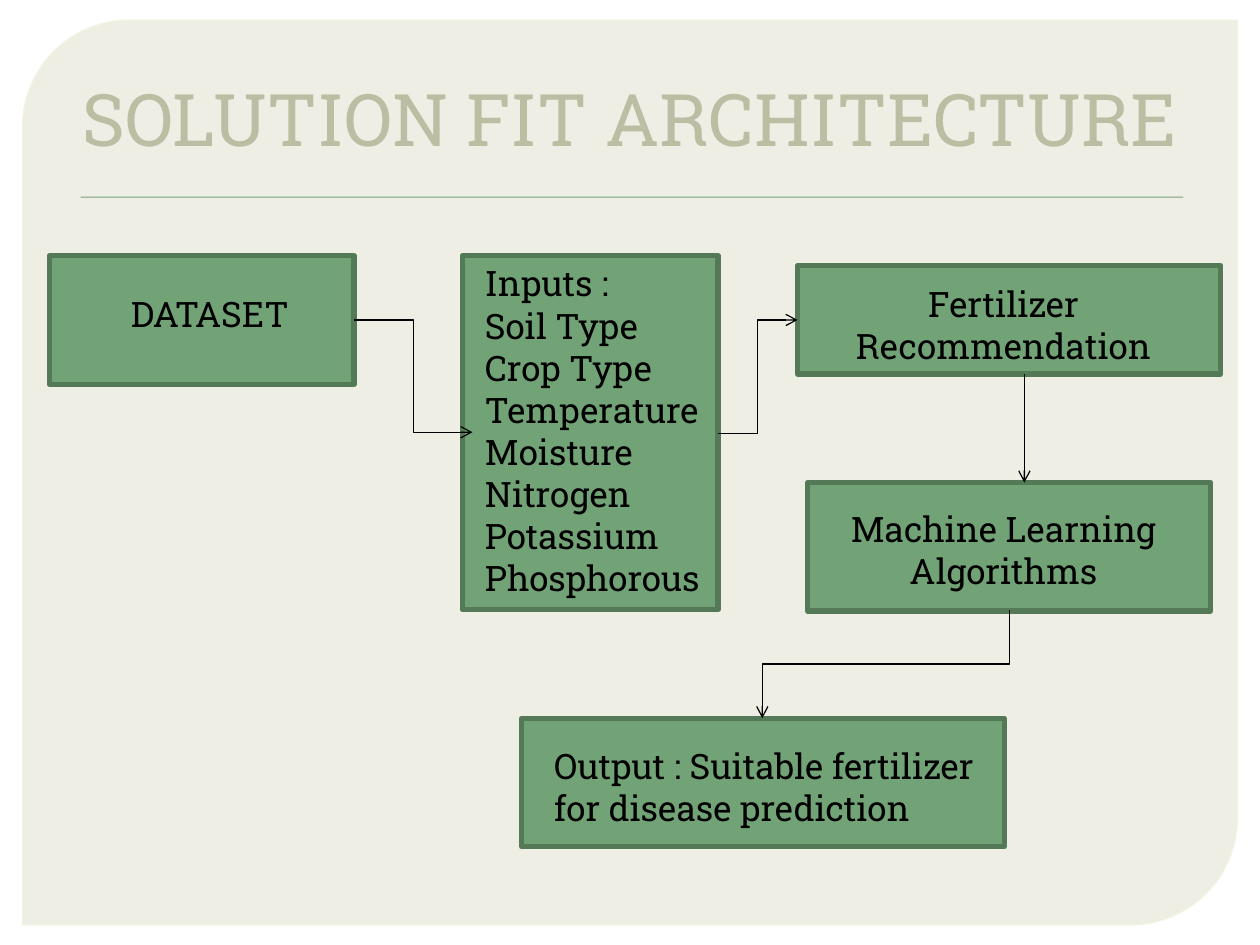
import pptx
import pptx.util
import pptx.dml.color
import pptx.enum.shapes
import pptx.enum.text
import pptx.oxml.ns
import lxml.etree

Inches = pptx.util.Inches
Pt = pptx.util.Pt
RGBColor = pptx.dml.color.RGBColor
SHAPE = pptx.enum.shapes.MSO_SHAPE
CONNECTOR = pptx.enum.shapes.MSO_CONNECTOR
ALIGN = pptx.enum.text.PP_ALIGN
ANCHOR = pptx.enum.text.MSO_ANCHOR
AUTO_SIZE = pptx.enum.text.MSO_AUTO_SIZE
qn = pptx.oxml.ns.qn

FONT = "Roboto Slab"
PANEL = RGBColor(0xE5, 0xE6, 0xD7)
PANEL_EDGE = RGBColor(0xF2, 0xF4, 0xE2)
GREEN = RGBColor(0x72, 0xA3, 0x76)
DARK_GREEN = RGBColor(0x54, 0x79, 0x57)
OLIVE = RGBColor(0x6D, 0x74, 0x42)
BLACK = RGBColor(0, 0, 0)


def set_alpha(fill_parent, percent):
    color = fill_parent.find(qn("a:solidFill"))[0]
    lxml.etree.SubElement(color, qn("a:alpha")).set("val", str(percent * 1000))


def format_text(paragraph, size, color, align):
    paragraph.alignment = align
    for name, value in {"name": FONT, "size": Pt(size)}.items():
        setattr(paragraph.font, name, value)
    paragraph.font.color.rgb = color


def add_box(slide, kind, box, fill, line=None, width=0):
    shape = slide.shapes.add_shape(kind, *map(Inches, box))
    shape.shadow.inherit = False
    shape.fill.solid()
    shape.fill.fore_color.rgb = fill
    if line is None:
        shape.line.fill.background()
    else:
        shape.line.color.rgb = line
        shape.line.width = Pt(width)
    return shape


def add_background(slide, box):
    """Rounded panel with the thin rule below the title."""
    left, top, width, height = box
    panel = add_box(slide, SHAPE.ROUND_2_DIAG_RECTANGLE, box, PANEL, PANEL_EDGE, 0.87)
    panel.adjustments[0] = 0.118
    panel.adjustments[1] = 0
    properties = panel.element.spPr
    set_alpha(properties, 65)
    set_alpha(properties.find(qn("a:ln")), 88)
    add_box(slide, SHAPE.RECTANGLE, (left + 0.46, top + 1.4, width - 0.89, 0.01), GREEN)


def add_title(slide, box, text):
    title = slide.shapes.title
    for name, value in zip(("left", "top", "width", "height"), box):
        setattr(title, name, Inches(value))
    frame = title.text_frame
    frame.text = text
    for name, value in {"auto_size": AUTO_SIZE.NONE, "word_wrap": True,
                        "vertical_anchor": ANCHOR.BOTTOM}.items():
        setattr(frame, name, value)
    format_text(frame.paragraphs[0], 41.4, OLIVE, ALIGN.CENTER)
    frame.paragraphs[0]._p.get_or_add_pPr().set("marL", str(Inches(0.06)))


def add_step(slide, box, label_box, lines, align):
    """Green box and its label, which is placed relative to the box."""
    left, top = box[:2]
    add_box(slide, SHAPE.RECTANGLE, box, GREEN, DARK_GREEN, 3)
    offset_x, offset_y, width, height = label_box
    label = slide.shapes.add_textbox(Inches(left + offset_x), Inches(top + offset_y),
                                     Inches(width), Inches(height))
    frame = label.text_frame
    frame.word_wrap = True
    frame.auto_size = AUTO_SIZE.SHAPE_TO_FIT_TEXT
    frame.text = "\n".join(lines)
    for paragraph in frame.paragraphs:
        format_text(paragraph, 20, BLACK, align)


def add_arrow(slide, kind, start, end, rotation=0):
    """Arrow from start to end; rotation turns it about its centre."""
    if rotation == 90:
        # Box before the quarter turn has width and height swapped
        center_x, center_y = (start[0] + end[0]) / 2, (start[1] + end[1]) / 2
        half_x, half_y = abs(end[1] - start[1]) / 2, abs(end[0] - start[0]) / 2
        start = center_x - half_x, center_y - half_y
        end = center_x + half_x, center_y + half_y
    arrow = slide.shapes.add_connector(kind, *map(Inches, (*start, *end)))
    arrow.line.color.rgb = BLACK
    arrow.line.width = Pt(0.75)
    properties = arrow.element.spPr
    if rotation:
        properties.find(qn("a:xfrm")).set("rot", str(rotation * 60000))
    line = properties.find(qn("a:ln"))
    lxml.etree.SubElement(line, qn("a:tailEnd")).set("type", "arrow")
    lxml.etree.SubElement(properties, qn("a:effectLst"))


def build_slide(presentation):
    slide = presentation.slides.add_slide(presentation.slide_layouts[5])
    add_background(slide, (0.18, 0.16, 9.64, 7.18))
    add_title(slide, (0.47, 0.31, 9, 1.02), "SOLUTION FIT ARCHITECTURE")

    # Steps: box, label offset and size, lines, alignment
    inputs = ["Inputs :", "Soil Type", "Crop Type", "Temperature",
              "Moisture", "Nitrogen", "Potassium", "Phosphorous"]
    steps = [
        ((0.39, 2.03, 2.42, 1.02), (0.55, 0.24, 1.8, 0.44), ["DATASET"], ALIGN.LEFT),
        ((3.67, 2.03, 2.03, 2.81), (0.08, 0, 2.19, 2.79), inputs, ALIGN.LEFT),
        ((6.33, 2.11, 3.36, 0.86), (0.15, 0.08, 2.97, 0.77),
         ["Fertilizer", "Recommendation"], ALIGN.CENTER),
        ((6.41, 3.83, 3.2, 1.02), (0.07, 0.15, 2.97, 0.77),
         ["Machine Learning Algorithms"], ALIGN.CENTER),
        ((4.14, 5.7, 3.83, 1.02), (0.16, 0.16, 3.59, 0.77),
         ["Output : Suitable fertilizer for disease prediction"], ALIGN.LEFT),
    ]
    for step in steps:
        add_step(slide, *step)

    # Arrows between the steps
    add_arrow(slide, CONNECTOR.ELBOW, (2.81, 2.54), (3.75, 3.43))
    add_arrow(slide, CONNECTOR.ELBOW, (5.7, 3.44), (6.33, 2.54))
    add_arrow(slide, CONNECTOR.STRAIGHT, (8.13, 2.97), (8.13, 3.83))
    add_arrow(slide, CONNECTOR.ELBOW, (8.01, 4.84), (6.05, 5.7), rotation=90)


presentation = pptx.Presentation()
presentation.slide_width = Inches(10)
presentation.slide_height = Inches(7.5)
build_slide(presentation)
presentation.save("out.pptx")
